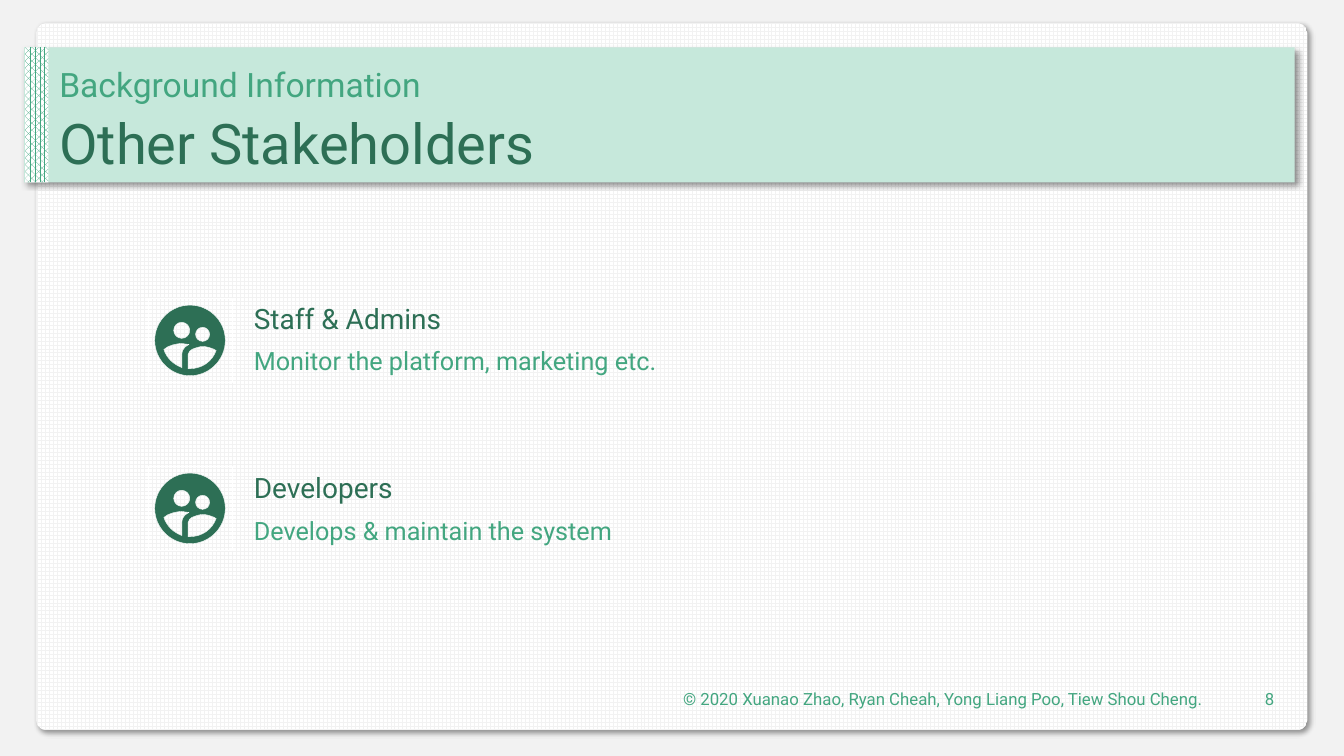
from lxml import etree
from pptx import Presentation
from pptx.dml.color import RGBColor
from pptx.enum.dml import MSO_PATTERN
from pptx.enum.shapes import MSO_SHAPE
from pptx.enum.text import MSO_ANCHOR, MSO_AUTO_SIZE, PP_ALIGN
from pptx.oxml.ns import qn
from pptx.util import Pt

RECT, ROUND_RECT = MSO_SHAPE.RECTANGLE, MSO_SHAPE.ROUNDED_RECTANGLE
GRID, DOTS = MSO_PATTERN.LARGE_GRID, MSO_PATTERN.PERCENT_70
TOP, MIDDLE, BOTTOM = MSO_ANCHOR.TOP, MSO_ANCHOR.MIDDLE, MSO_ANCHOR.BOTTOM
GROW = MSO_AUTO_SIZE.SHAPE_TO_FIT_TEXT
LEFT, RIGHT = PP_ALIGN.LEFT, PP_ALIGN.RIGHT
FONT = "Roboto"
HEX = {"page": "F2F2F2", "white": "FFFFFF", "mint": "C6E8DB",
       "green": "43A680", "dark": "2D6F55", "black": "000000"}
COLORS = {name: RGBColor.from_string(value) for name, value in HEX.items()}

prs = Presentation()
prs.slide_width, prs.slide_height = Pt(960), Pt(540)
slide = prs.slides.add_slide(prs.slide_layouts[6])
slide.background.fill.solid()
slide.background.fill.fore_color.rgb = COLORS["page"]


def add_text(text, left, top, width, height, size, color,
             anchor=TOP, align=LEFT, spacing=None):
    sp = slide.shapes.add_textbox(Pt(left), Pt(top), Pt(width), Pt(height))
    tf = sp.text_frame
    tf.word_wrap = True
    tf.vertical_anchor = anchor
    p = tf.paragraphs[0]
    p.text = text
    p.alignment = align
    p.line_spacing = spacing
    font = p.runs[0].font
    font.name, font.size, font.color.rgb = FONT, Pt(size), COLORS[color]
    return sp


def add_outline(points):
    """Add a closed, white-edged outline through the given points."""
    corners = [(Pt(x), Pt(y)) for x, y in points]
    builder = slide.shapes.build_freeform(*corners[0])
    builder.add_line_segments(corners[1:], close=True)
    sp = builder.convert_to_shape()
    sp.fill.background()
    sp.line.color.rgb = COLORS["white"]
    sp.line.width = Pt(0.25)
    sp.shadow.inherit = False
    return sp


# Card, banner and its patterned edge: fill is (foreground, background, pattern)
panels = [
    (ROUND_RECT, 25.92, 16.56, 907.92, 505, ("page", "white", GRID), True),
    (RECT, 17.28, 33.84, 907.5, 96.48, ("mint", None, None), True),
    (RECT, 18, 33.84, 16.56, 96.48, ("green", "white", DOTS), False),
]
for kind, left, top, width, height, (fore, back, pattern), shadowed in panels:
    sp = slide.shapes.add_shape(kind, Pt(left), Pt(top), Pt(width), Pt(height))
    if kind == ROUND_RECT:
        sp.adjustments[0] = 0.014
    if pattern:
        sp.fill.patterned()
        sp.fill.pattern = pattern
        sp.fill.back_color.rgb = COLORS[back]
    else:
        sp.fill.solid()
    sp.fill.fore_color.rgb = COLORS[fore]
    sp.line.fill.background()
    sp.shadow.inherit = False
    if shadowed:
        effects = sp._element.spPr.find(qn("a:effectLst"))
        shadow = etree.SubElement(
            effects, qn("a:outerShdw"), blurRad=str(Pt(4)), dist=str(Pt(3)),
            dir=str(45 * 60000), algn="tl", rotWithShape="0")
        color = etree.SubElement(shadow, qn("a:srgbClr"), val=HEX["black"])
        etree.SubElement(color, qn("a:alpha"), val="40000")

# People icon in units of 0.72 pt from the disc's corner: each outline is a
# start point and segments, one point for a line and three for a curve
UNIT, DISC, TILE, MARGIN = 0.72, 70, 60.12, 4.86
icon_outlines = []
for x, y, r in [(35, 35, 35), (47.5, 29, 7), (26.8, 25, 8)]:
    k = 0.55 * r
    icon_outlines.append(((x, y - r), [
        [(x - k, y - r), (x - r, y - k), (x - r, y)],
        [(x - r, y + k), (x - k, y + r), (x, y + r)],
        [(x + k, y + r), (x + r, y + k), (x + r, y)],
        [(x + r, y - k), (x + k, y - r), (x, y - r)],
    ]))
icon_outlines += [
    ((27, 49), [
        [(27, 62)],
        [(19, 59), (12, 53), (9, 44)],
        [(13, 40), (22, 38), (27, 38)],
        [(29, 38), (31, 39), (34, 39)],
        [(28, 42), (27, 46), (27, 49)],
    ]),
    ((35, 63), [
        [(34, 63), (34, 63), (33, 63)],
        [(33, 49)],
        [(33, 44), (43, 41), (48, 41)],
        [(52, 41), (58, 43), (61, 45)],
        [(57, 56), (47, 63), (35, 63)],
    ]),
]

ICON_LEFT, TEXT_LEFT = 105.7, 174.24
stakeholders = [
    ("Staff & Admins", "Monitor the platform, marketing etc.", 213.12, 211.68),
    ("Developers", "Develops & maintain the system", 333.12, 332.64),
]
for _, _, icon_top, _ in stakeholders:
    squares = []
    for inset, side in ((0, TILE), (MARGIN, DISC * UNIT)):
        x, y = ICON_LEFT + inset, icon_top + inset
        squares.append(add_outline(
            [(x, y), (x + side, y), (x + side, y + side), (x, y + side)]))
    icon = squares[1]
    icon.fill.solid()
    icon.fill.fore_color.rgb = COLORS["dark"]
    path = next(icon._element.iter(qn("a:path")))
    for step in list(path):
        path.remove(step)
    for start, segments in icon_outlines:
        for i, points in enumerate([[start]] + segments):
            tag = "a:moveTo" if i == 0 else "a:lnTo"
            if len(points) == 3:
                tag = "a:cubicBezTo"
            step = etree.SubElement(path, qn(tag))
            for x, y in points:
                etree.SubElement(step, qn("a:pt"), x=str(Pt(x * UNIT)),
                                 y=str(Pt(y * UNIT)))
        etree.SubElement(path, qn("a:close"))
    slide.shapes.add_group_shape(squares)

add_text("Background Information", 35.28, 38.88, 889.2, 39.6, 24, "green",
         anchor=BOTTOM, spacing=0.9)
add_text("Other Stakeholders", 35.28, 78.48, 889.2, 51.12, 40, "dark",
         anchor=BOTTOM, spacing=0.9)
add_text("8", 874.8, 485, 42.48, 28.8, 12, "green", anchor=MIDDLE, align=RIGHT)
add_text("© 2020 Xuanao Zhao, Ryan Cheah, Yong Liang Poo, Tiew Shou Cheng.",
         391.68, 485, 474.48, 28.8, 12, "green", anchor=MIDDLE, align=RIGHT)

for name, role, _, top in stakeholders:
    labels = [
        add_text(name, TEXT_LEFT, top, 493.2, 31.68, 20, "dark"),
        add_text(role, TEXT_LEFT, top + 31.68, 480.24, 28.8, 18, "green"),
    ]
    for sp in labels:
        sp.text_frame.auto_size = GROW
    slide.shapes.add_group_shape(labels)

prs.save("out.pptx")
